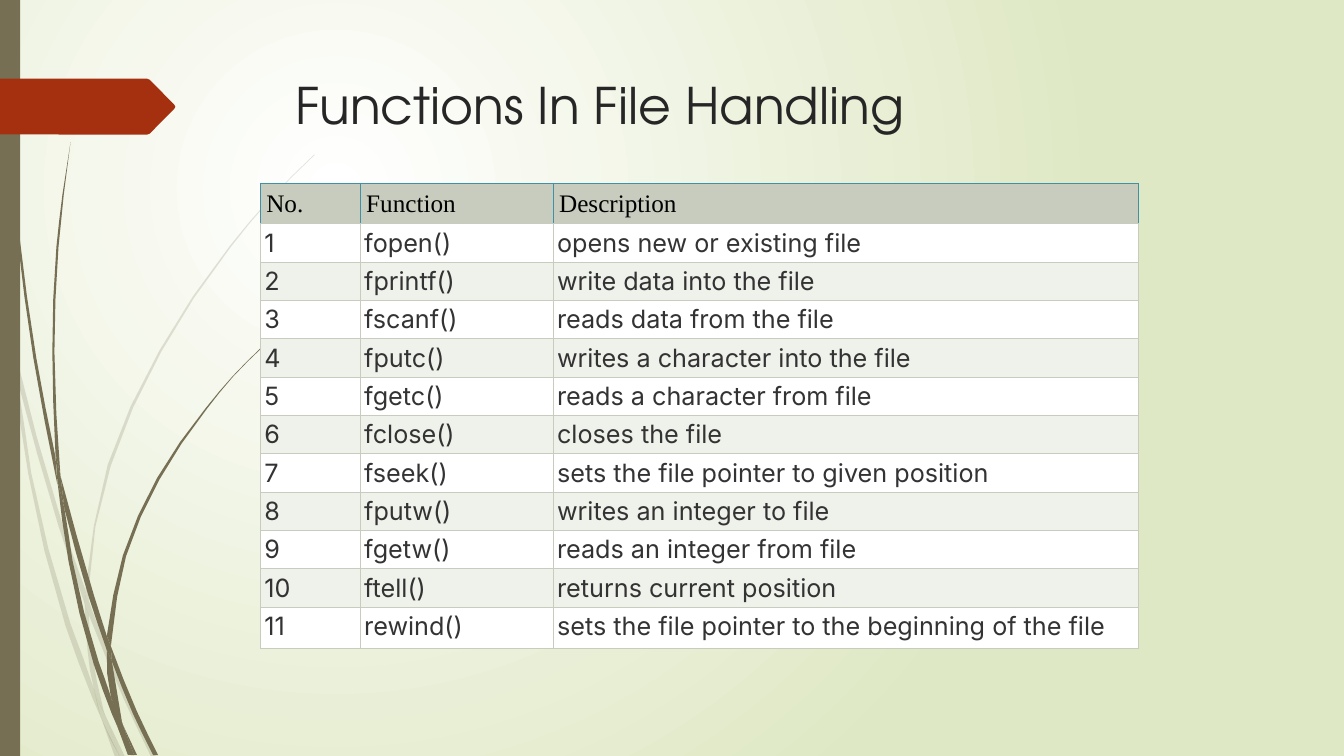
from pptx import Presentation
from pptx.dml.color import RGBColor
from pptx.enum import shapes, text
from pptx.oxml import parse_xml
from pptx.oxml.ns import nsdecls, qn
from pptx.util import Pt

THEME = {
    "olive": "766F54", "red": "A53010", "ink": "262626", "body": "333333",
    "black": "000000", "white": "FFFFFF", "lime": "DFE8C4", "band": "EFF1EB",
    "rule": "C7CCBE", "blue": "4090A6",
    "title": ("TeX Gyre Adventor", 36), "head": ("Times New Roman", 18),
    "cell": ("Inter", 18), "line": 0.75, "pale": 20,
}

TITLE = "Functions In File Handling"
HEAD = ("No.", "Function", "Description")
CALLS = [
    ("fopen()", "opens new or existing file"),
    ("fprintf()", "write data into the file"),
    ("fscanf()", "reads data from the file"),
    ("fputc()", "writes a character into the file"),
    ("fgetc()", "reads a character from file"),
    ("fclose()", "closes the file"),
    ("fseek()", "sets the file pointer to given position"),
    ("fputw()", "writes an integer to file"),
    ("fgetw()", "reads an integer from file"),
    ("ftell()", "returns current position"),
    ("rewind()", "sets the file pointer to the beginning of the file"),
]
COLS = (71.4, 137.8, 417.9)
HIGH = (28, 27.4, 29.5)  # header row, body rows, last row
PADS = {"head": (4.2, 4.8, 2.5), "cell": (2.8, 2.8, 2.8)}  # sides, top, bottom

# Each outline is a list of smooth edges, joined by straight lines.
PALE = [
    [[(7.9, 252), (6.5, 231.8), (0, 203)], [(0, 215.3), (7.2, 247.7)]],
    [[(10.1, 248.4), (44.6, 374.4), (61.2, 421.9)],
     [(60.5, 431.3), (41.8, 375.8), (12.2, 270.7)]],
    [[(63.4, 429.1), (66.2, 437), (91.4, 498.2), (111.6, 540.7)],
     [(108, 540.7), (88.6, 499.7), (63.4, 439.2)]],
    [[(75.6, 511.9), (89.3, 540.7)], [(85.7, 540.7)]],
    [[(7.9, 252), (12.2, 270.7), (22.3, 337.7), (50.4, 445.7), (67, 491.8),
      (71.3, 509), (72.7, 514.1)],
     [(66.2, 499), (46.8, 447.1), (20.2, 338.4), (7.9, 252)]],
    [[(60.5, 431.3), (62.6, 465.1), (67, 491.8), (69.1, 498.2), (75.6, 511.9)],
     [(74.2, 508.3), (65.5, 465.1), (63.4, 439.2)]],
    [[(63.4, 429.1), (63.4, 420.5), (79.2, 332.6), (115.2, 251.3),
      (164.9, 176.4), (193, 142.6), (224.6, 110.9)],
     [(224.6, 110.2), (193, 141.8), (164.2, 175.7), (113.8, 250.6),
      (77, 331.9), (61.2, 420.5)]],
    [[(72.7, 514.1), (82.1, 540.7)], [(85.7, 540.7)]],
    [[(63.4, 439.2), (63.4, 429.1)], [(61.2, 421.9), (60.5, 431.3)]],
    [[(67, 491.8), (72.7, 514.1), (85.7, 540.7)], [(75.6, 511.9), (69.1, 498.2)]],
]
DARK = [
    [[(2.2, 0), (2.9, 34.6), (5, 79.2), (12.2, 167.8), (23.8, 255.6), (41, 346.3)],
     [(39.6, 326.2), (25.9, 255.6), (13.7, 167), (5.8, 78.5), (3.6, 34.6), (2.9, 0)]],
    [[(43.2, 339.8), (67, 424.8), (76.3, 454.3)],
     [(76.3, 464.4), (63.4, 426.2), (46.1, 363.6)]],
    [[(79.2, 461.5), (97.9, 508.3), (113, 539.3)],
     [(109.4, 539.3), (95, 509.8), (79.9, 472.3)]],
    [[(41, 343.4), (46.1, 363.6), (51.8, 400.3), (70.6, 473), (79.2, 497.5),
      (84.2, 519.8)],
     [(79.9, 509.8), (67, 474.5), (49, 401), (41, 343.4)]],
    [[(43.2, 339.8), (38.9, 251.3), (41.8, 176.4), (50.4, 101.5)],
     [(44.6, 139), (40.3, 176.4), (37.4, 251.3), (39.6, 323.3)]],
    [[(87.8, 517.7), (97.9, 539.3)], [(95.8, 539.3)]],
    [[(41, 343.4), (46.1, 363.6)], [(43.2, 339.8), (39.6, 323.3)]],
    [[(79.9, 455.8), (90, 397.4), (113.8, 342.7), (147.6, 292.3),
      (166.3, 269.3), (187.9, 247.7)],
     [(187.2, 247.7), (166.3, 268.6), (146.9, 291.6), (112.3, 341.3),
      (87.8, 396.7), (76.3, 454.3)], [(79.2, 461.5)]],
    [[(84.2, 519.8), (91.4, 539.3)], [(94.3, 539.3)]],
    [[(76.3, 464.4), (79.2, 497.5), (87.8, 517.7)], [(87.1, 515.5), (79.9, 472.3)]],
    [[(76.3, 464.4), (79.9, 472.3)], [(79.2, 461.5), (76.3, 454.3)]],
    [[(79.2, 497.5), (84.2, 519.8), (93.6, 539.3)], [(95.8, 539.3), (87.8, 517.7)]],
]
ARROW = [[(0, 56.2), (105, 56.2)], [(107, 57), (124.6, 74.9)],
         [(125.2, 76.3), (124.6, 77.6)], [(107, 95.4), (105, 96.2)], [(0, 96)]]


def tint(name):
    return RGBColor.from_string(THEME[name])


def curve(edge):
    """Return the knots of an edge with a smooth midpoint between each pair."""
    if len(edge) < 3:
        return edge
    knots = [complex(*p) for p in edge]
    gaps = [abs(b - a) for a, b in zip(knots, knots[1:])]
    dirs = [(b - a) / g for a, b, g in zip(knots, knots[1:], gaps)]
    mids = [(dirs[i] * gaps[i + 1] + dirs[i + 1] * gaps[i]) / (gaps[i] + gaps[i + 1])
            for i in range(len(gaps) - 1)]
    tans = [1.5 * dirs[0] - mids[0] / 2, *mids, 1.5 * dirs[-1] - mids[-1] / 2]
    dots = [knots[0]]
    for i, gap in enumerate(gaps):
        half = (knots[i] + knots[i + 1]) / 2 + gap * (tans[i] - tans[i + 1]) / 8
        dots += [half, knots[i + 1]]
    return [(z.real, z.imag) for z in dots]


def paint(shape, name, alpha=None):
    shape.shadow.inherit = False
    shape.fill.solid()
    shape.fill.fore_color.rgb = tint(name)
    shape.line.fill.background()
    if alpha:
        tone = shape.element.spPr.find(".//" + qn("a:srgbClr"))
        tone.append(parse_xml(f'<a:alpha {nsdecls("a")} val="{alpha * 1000}"/>'))


def trace(slide, edges, name, alpha=None):
    dots = [(Pt(x), Pt(y)) for edge in edges for x, y in curve(edge)]
    pen = slide.shapes.build_freeform(*dots[0])
    pen.add_line_segments(dots[1:], close=True)
    paint(pen.convert_to_shape(), name, alpha)


def style(frame, face, name):
    for run in frame.paragraphs[0].runs:
        run.font.name, size = THEME[face]
        run.font.size = Pt(size)
        run.font.color.rgb = tint(name)


def glow(slide):
    """Fill the background with a radial gradient."""
    slide.background.fill.solid()
    back = slide.element.cSld.find(".//" + qn("p:bgPr"))
    stops = "".join(f'<a:gs pos="{pos}"><a:srgbClr val="{THEME[name]}"/></a:gs>'
                    for pos, name in ((0, "white"), (100000, "lime")))
    back.replace(back[0], parse_xml(
        f'<a:gradFill {nsdecls("a")} rotWithShape="1"><a:gsLst>{stops}</a:gsLst>'
        '<a:path path="circle"><a:fillToRect l="50000" t="50000" r="100000"'
        ' b="100000"/></a:path></a:gradFill>'))


def border(cell, names):
    """Draw the left, right, top and bottom borders of a cell."""
    props = cell._tc.get_or_add_tcPr()
    for i, (side, name) in enumerate(zip("LRTB", names)):
        props.insert(i, parse_xml(
            f'<a:ln{side} {nsdecls("a")} w="{Pt(THEME["line"])}"><a:solidFill>'
            f'<a:srgbClr val="{THEME[name]}"/></a:solidFill></a:ln{side}>'))


def fill_cell(cell, words, row):
    head = row == 0
    face = "head" if head else "cell"
    cell.text_frame.text = words
    style(cell.text_frame, face, "black" if head else "body")
    if not head:
        cell.text_frame.paragraphs[0].alignment = text.PP_ALIGN.JUSTIFY
    side, top, base = PADS[face]
    cell.margin_left = cell.margin_right = Pt(side)
    cell.margin_top, cell.margin_bottom = Pt(top), Pt(base)
    cell.fill.solid()
    cell.fill.fore_color.rgb = tint("rule" if head else "white" if row % 2 else "band")
    border(cell, ["blue"] * 3 + ["rule"] if head else ["rule"] * 4)


def add_grid(slide):
    rows = [HEAD] + [(str(i), *call) for i, call in enumerate(CALLS, 1)]
    highs = [HIGH[0]] + [HIGH[1]] * (len(CALLS) - 1) + [HIGH[2]]
    grid = slide.shapes.add_table(len(rows), len(COLS), Pt(186), Pt(131),
                                  Pt(sum(COLS)), Pt(sum(highs))).table
    grid.first_row = grid.horz_banding = False
    for col, wide in zip(grid.columns, COLS):
        col.width = Pt(wide)
    for r, (row, high) in enumerate(zip(rows, highs)):
        grid.rows[r].height = Pt(high)
        for c, words in enumerate(row):
            fill_cell(grid.cell(r, c), words, r)


def main():
    deck = Presentation()
    deck.slide_width, deck.slide_height = Pt(960), Pt(540)
    slide = deck.slides.add_slide(deck.slide_layouts[6])
    glow(slide)
    for edges in PALE:
        trace(slide, edges, "olive", THEME["pale"])
    for edges in DARK:
        trace(slide, edges, "olive")
    bar = slide.shapes.add_shape(shapes.MSO_SHAPE.RECTANGLE, 0, 0, Pt(14.4), Pt(540))
    paint(bar, "olive")
    trace(slide, ARROW, "red")
    frame = slide.shapes.add_textbox(Pt(204), Pt(49.5), Pt(702), Pt(100.8)).text_frame
    frame.word_wrap = True
    frame.text = TITLE
    style(frame, "title", "ink")
    add_grid(slide)
    deck.save("out.pptx")


if __name__ == "__main__":
    main()
